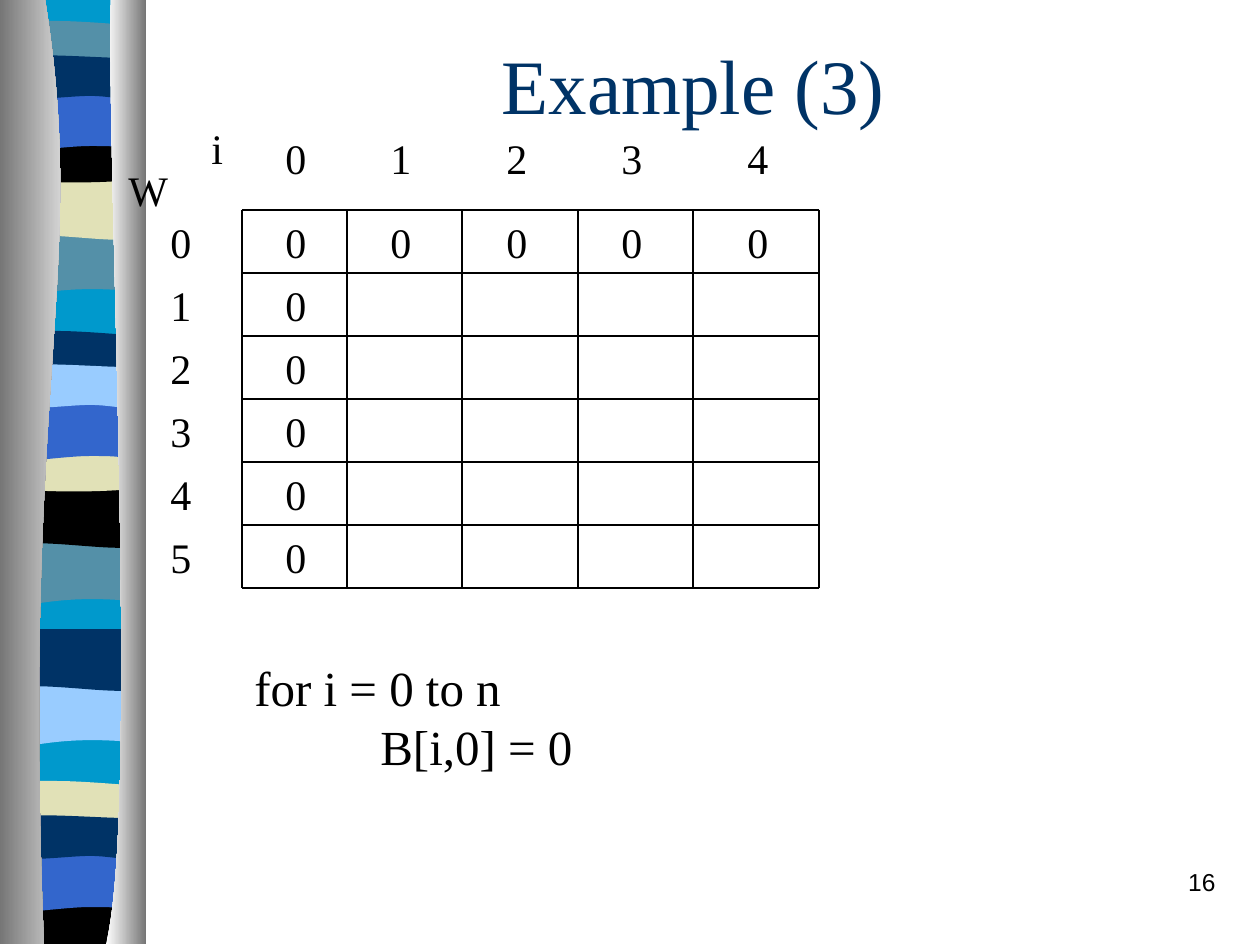
from pptx import Presentation
from pptx.dml.color import RGBColor
from pptx.enum.shapes import MSO_CONNECTOR as CONN
from pptx.enum.text import MSO_ANCHOR as ANCHOR, MSO_AUTO_SIZE as FIT, PP_ALIGN as ALIGN
from pptx.oxml.ns import qn
from pptx.util import Emu, Pt
from lxml import etree

PX = 914400 / 126
BLACK = RGBColor(0, 0, 0)
NAVY = RGBColor(0x00, 0x33, 0x66)
TEAL = RGBColor(0x00, 0x99, 0xCC)
SLATE = RGBColor(0x54, 0x90, 0xA8)
CREAM = RGBColor(0xE1, 0xE1, 0xB7)
BLUE = RGBColor(0x33, 0x66, 0xCC)
SKY = RGBColor(0x99, 0xCC, 0xFF)
GREY = RGBColor(0x76, 0x76, 0x76)
WHITE = RGBColor(0xFF, 0xFF, 0xFF)

deck = Presentation()
deck.slide_width, deck.slide_height = Emu(9144000), Emu(6858000)
slide = deck.slides.add_slide(deck.slide_layouts[5])
shapes = slide.shapes
column = shapes.add_group_shape()


def put(text, x, y, w, h, box=None, size=24, font="Times New Roman", color=BLACK,
        align=ALIGN.LEFT, anchor=ANCHOR.TOP, wrap=False, fit=FIT.NONE, before=0, indent=0):
    """Place text; indent moves every line after the first, in pixels."""
    if box is None:
        box = shapes.add_textbox(0, 0, 0, 0)
    frame = box.text_frame
    frame.text = text
    frame.word_wrap, frame.auto_size, frame.vertical_anchor = wrap, fit, anchor
    for n, para in enumerate(frame.paragraphs):
        para.alignment, para.space_before = align, Pt(before)
        for run in para.runs:
            run.font.size, run.font.name = Pt(size), font
            run.font.color.rgb = color
        if n and indent:
            para._p.get_or_add_pPr().set("marL", str(round(indent * PX)))
    box.left, box.top, box.width, box.height = [Emu(round(v * PX)) for v in (x, y, w, h)]


def trace(path, top, *colors):
    """Draw a closed outline: pairs are corners, sixes are cubic curves."""
    pts = [(round(x * PX), round((y + top) * PX))
           for step in path for x, y in zip(step[::2], step[1::2])]
    pen = column.shapes.build_freeform(*pts[0], scale=1.0)
    pen.add_line_segments(pts[1:], close=True)
    form = pen.convert_to_shape()
    # Join three points into one curve
    legs = iter(list(form._element.iter(qn("a:lnTo"))))
    for step in path[1:]:
        leg = next(legs)
        if len(step) == 6:
            leg.tag = qn("a:cubicBezTo")
            for other in (next(legs), next(legs)):
                leg.append(other[0])
                other.getparent().remove(other)
    form.shadow.inherit = False
    form.line.fill.background()
    if len(colors) == 1:
        form.fill.solid()
        form.fill.fore_color.rgb = colors[0]
    else:
        form.fill.gradient()
        form.fill.gradient_angle = 0
        for stop, color in zip(form.fill.gradient_stops, colors):
            stop.color.rgb = color


# Band outlines, measured from their upper right corner
L, R = 6, 142
wave = [(R, 0), (R, 59), (49, 49, 29, 69, L, 59), (L, 0)]
swell = [(R, 0), (R, 59), (120, 68, 49, 52, L, 59), (L, 0)]
strip = [(R, 0), (R, 31), (120, 36, 28, 36, L, 31), (L, 0),
         (14, -6, 36, -5, 58, -5), (82, -5, 126, -1, R, 0)]
dip = [(R, 0), (R, 42), (120, 48, 28, 48, L, 42), (L, 0), (90, 6, 114, 0, R, 0)]
base = [(R, 0), (R, 47), (L, 47), (L, 0), (90, 6, 114, 0, R, 0)]
arch = [(R, 0), (R, 59), (122, 53, 113, 53, 90, 53), (68, 53, 27, 59, L, 59), (L, 0)]
crest = [(R, 0), (R, 38), (135, 45, 113, 38, 90, 38), (68, 38, 20, 45, L, 38),
         (L, 0), (26, -6, 99, 0, 122, 0), (144, 0, 139, 0, R, 0)]

# Striped column
trace([(R, -1), (R, 941), (L, 941), (L, -1)], 0, TEAL)
for path, top, color in [
    (wave, 233, SLATE), (swell, 178, CREAM), (strip, 26, SLATE),
    (dip, 136, BLACK), (arch, 93, BLUE), (crest, 58, NAVY),
    (wave, 543, SLATE), (swell, 486, BLACK), (strip, 336, NAVY),
    (dip, 445, CREAM), (arch, 403, BLUE), (crest, 367, SKY),
    (wave, 684, SKY), (swell, 629, NAVY), (strip, 786, CREAM),
    (base, 897, BLACK), (arch, 854, BLUE), (crest, 818, NAVY),
]:
    trace(path, top, color)

# Shaded edges of the column
trace([(45, -1), (89, 272, 21, 373, 44, 944), (0, 944), (0, -1)], 0, GREY, WHITE)
trace([(111, -1), (106, 158, 140, 814, 106, 944), (146, 944), (146, 0)], 0, WHITE, GREY)

# The column belongs to the master, under fresh ids
for n, tag in enumerate(column.element.iter(qn("p:cNvPr")), 50):
    tag.set("id", str(n))
deck.slide_master.shapes.element.insert(2, column.element)

# Title, page number and code
put("Example (3)", 158, 42, 1071, 84, box=shapes.title, size=44, color=NAVY,
    align=ALIGN.CENTER, anchor=ANCHOR.MIDDLE, wrap=True)
put("16", 966, 861, 262, 63, size=14, font="Arial", align=ALIGN.RIGHT, wrap=True, before=8.8)
put("for i = 0 to n\nB[i,0] = 0", 242, 651, 473, 131, size=28, wrap=True,
    fit=FIT.SHAPE_TO_FIT_TEXT, indent=126)

# Grid lines
cols = [242, 347, 462, 578, 693, 819]
rows = [210 + 63 * n for n in range(7)]
ends = [(cols[0], y, cols[-1], y) for y in rows] + [(x, rows[0], x, rows[-1]) for x in cols]
for end in ends:
    line = shapes.add_connector(CONN.STRAIGHT, *[Emu(round(v * PX)) for v in end])
    line.line.color.rgb = BLACK
    line.line.width = Pt(0.74)
    etree.SubElement(line._element.spPr, qn("a:effectLst"))

# Axis names, headings and zeros
marks = [("W", 116, 158, 64), ("i", 199, 116, 37)]
slots = [273, 378, 494, 609, 735]
for n, x in enumerate(slots):
    marks += [(str(n), x, 126, 45), ("0", x, rows[0], 45)]
for n, y in enumerate(rows[:-1]):
    marks.append((str(n), 158, y, 45))
    if n:
        marks.append(("0", slots[0], y, 45))
for text, x, y, w in marks:
    put(text, x, y, w, 63, fit=FIT.SHAPE_TO_FIT_TEXT)

deck.save("out.pptx")
